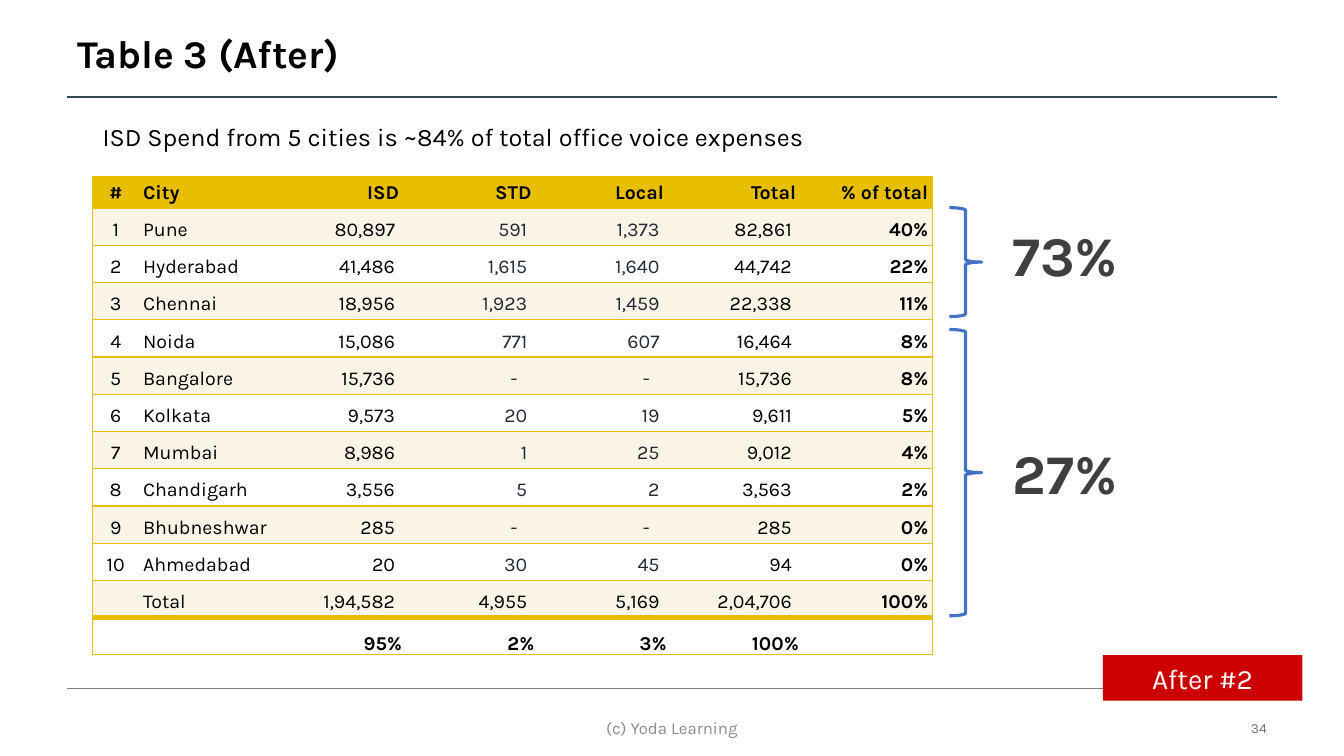
from lxml import etree
from pptx import Presentation
from pptx.dml.color import RGBColor
from pptx.enum import shapes, text
from pptx.oxml import ns
from pptx.util import Pt

FONT = "Karla"
COLORS = {
    "black": "000000", "white": "FFFFFF", "slate": "222A35", "gold": "E7BE00",
    "cream": "FAF4E7", "rule": "37474F", "hairline": "808080", "number": "737373",
    "footer": "8C8C8C", "red": "CC0000", "blue": "4472C4", "percent": "3F3F3F",
}
LEFT, CENTER, RIGHT = text.PP_ALIGN.LEFT, text.PP_ALIGN.CENTER, text.PP_ALIGN.RIGHT
MIDDLE = text.MSO_ANCHOR.MIDDLE


def rgb(name):
    return RGBColor.from_string(COLORS[name])


def write(tf, words, size, color, align=LEFT, bold=False, anchor=None):
    tf.word_wrap = True
    if anchor is not None:
        tf.vertical_anchor = anchor
    p = tf.paragraphs[0]
    if words:
        p.add_run().text = words
    p.alignment = align
    p.font.name = FONT
    p.font.size = Pt(size)
    p.font.bold = bold
    p.font.color.rgb = rgb(color)
    return p


prs = Presentation()
prs.slide_width, prs.slide_height = Pt(960), Pt(540)
s = prs.slides.add_slide(prs.slide_layouts[5])

for y, color, width in [(69.3, "rule", 1.5), (491.8, "hairline", 0.25)]:
    line = s.shapes.add_connector(shapes.MSO_CONNECTOR.STRAIGHT, Pt(48), Pt(y), Pt(912), Pt(y))
    line.line.color.rgb = rgb(color)
    line.line.width = Pt(width)
    etree.SubElement(line._element.spPr, ns.qn("a:effectLst"))

title = s.shapes.title
title.left, title.top, title.width, title.height = Pt(48), Pt(16), Pt(864), Pt(48)
title.text_frame.auto_size = text.MSO_AUTO_SIZE.NONE
p = write(title.text_frame, "Table 3 (After)", 28, "black", bold=True, anchor=MIDDLE)
p.line_spacing = 0.9

rows = [
    ["#", "City", "ISD", "STD", "Local", "Total", "% of total"],
    ["1", "Pune", "80,897", "591", "1,373", "82,861", "40%"],
    ["2", "Hyderabad", "41,486", "1,615", "1,640", "44,742", "22%"],
    ["3", "Chennai", "18,956", "1,923", "1,459", "22,338", "11%"],
    ["4", "Noida", "15,086", "771", "607", "16,464", "8%"],
    ["5", "Bangalore", "15,736", "-", "-", "15,736", "8%"],
    ["6", "Kolkata", "9,573", "20", "19", "9,611", "5%"],
    ["7", "Mumbai", "8,986", "1", "25", "9,012", "4%"],
    ["8", "Chandigarh", "3,556", "5", "2", "3,563", "2%"],
    ["9", "Bhubneshwar", "285", "-", "-", "285", "0%"],
    ["10", "Ahmedabad", "20", "30", "45", "94", "0%"],
    ["", "Total", "1,94,582", "4,955", "5,169", "2,04,706", "100%"],
    ["", "", "95%", "2%", "3%", "100%", ""],
]
last_row, last_col = len(rows) - 1, len(rows[0]) - 1
total_row = last_row - 1
table = s.shapes.add_table(len(rows), len(rows[0]), Pt(66.2), Pt(126.4), Pt(600), Pt(341.4)).table
table.first_row = table.horz_banding = False
for c, column in enumerate(table.columns):
    column.width = Pt(94.5 if c else 33)

for r, row in enumerate(rows):
    table.rows[r].height = Pt(26.6 if r else 22.2)
    for c, words in enumerate(row):
        cell = table.cell(r, c)
        edges = {
            "lnL": 1 if c == 0 else 0,
            "lnR": 1 if c == last_col else 0,
            "lnT": 4 if r == last_row else 1,
            "lnB": 4 if r == total_row else 1,
        }
        for tag, width in edges.items():
            ln = etree.SubElement(cell._tc.get_or_add_tcPr(), ns.qn("a:" + tag), w=str(Pt(width)))
            if width:
                fill = etree.SubElement(ln, ns.qn("a:solidFill"))
                etree.SubElement(fill, ns.qn("a:srgbClr"), val=COLORS["gold"])
            else:
                etree.SubElement(ln, ns.qn("a:noFill"))
        cell.fill.solid()
        cell.fill.fore_color.rgb = rgb("gold" if r == 0 else "cream" if r % 2 else "white")
        cell.vertical_anchor = text.MSO_ANCHOR.BOTTOM
        margin = 1 if r == last_row else 3
        cell.margin_left = cell.margin_top = cell.margin_right = margin and Pt(margin)
        cell.margin_bottom = Pt(0 if r == last_row else 3)
        if 0 < r < last_row and 1 < c < last_col:
            cell.margin_right = Pt(13 if words == "-" else 6)
        color = "slate" if 0 < r < total_row and c in (3, 4) else "black"
        align = CENTER if c == 0 else LEFT if c == 1 else RIGHT
        bold = r in (0, last_row) or c == last_col
        write(cell.text_frame, words, 14, color, align, bold)

for y, height in [(148.3, 77.8), (235.4, 204.5)]:
    brace = s.shapes.add_shape(shapes.MSO_SHAPE.RIGHT_BRACE, Pt(678.2), Pt(y), Pt(23), Pt(height))
    brace.shadow.inherit = False
    brace.fill.background()
    brace.line.color.rgb = rgb("blue")
    brace.line.width = Pt(2.25)

badge = s.shapes.add_shape(shapes.MSO_SHAPE.RECTANGLE, Pt(787.7), Pt(468), Pt(142.6), Pt(32.4))
badge.shadow.inherit = False
badge.fill.solid()
badge.fill.fore_color.rgb = rgb("red")
badge.line.fill.background()
write(badge.text_frame, "After #2", 20, "white", CENTER, anchor=MIDDLE)

TOP = text.MSO_ANCHOR.TOP
labels = [
    ("ISD Spend from 5 cities is ~84% of total office voice expenses",
     66.2, 82.8, 705, 29, 18, "black", LEFT, False, TOP),
    ("73%", 704.2, 154, 113, 55.4, 40, "percent", CENTER, True, TOP),
    ("27%", 704.2, 309.6, 113, 55.4, 40, "percent", CENTER, True, TOP),
    ("(c) Yoda Learning", 318, 510, 324, 19.4, 12, "footer", CENTER, False, MIDDLE),
    ("34", 696, 510, 216, 19.4, 10, "number", RIGHT, False, MIDDLE),
]
for words, x, y, width, height, size, color, align, bold, anchor in labels:
    box = s.shapes.add_textbox(Pt(x), Pt(y), Pt(width), Pt(height))
    write(box.text_frame, words, size, color, align, bold, anchor)

prs.save("out.pptx")
